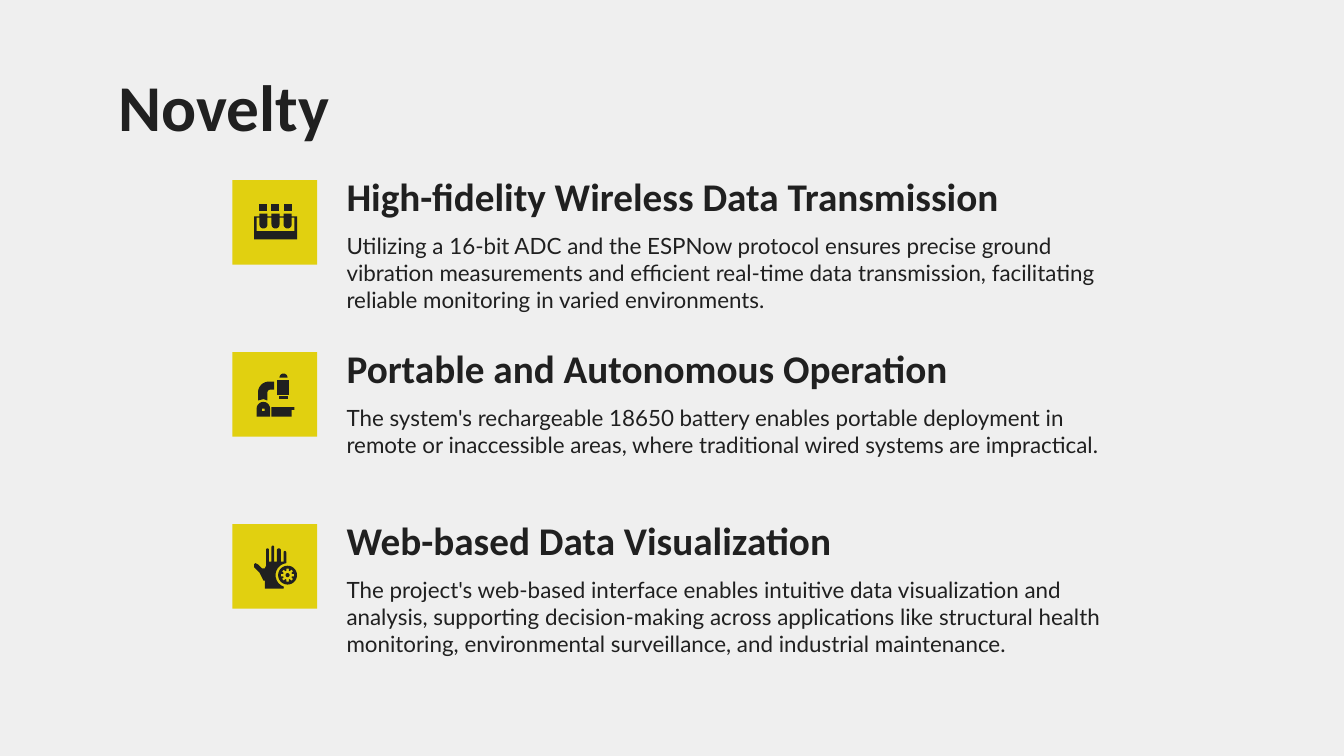
from math import cos, radians, sin

from pptx import Presentation
from pptx.dml.color import RGBColor
from pptx.enum.shapes import MSO_SHAPE
from pptx.enum.text import MSO_ANCHOR, MSO_AUTO_SIZE, PP_ALIGN
from pptx.util import Emu, Pt

PX = 9144
INK = RGBColor(0x20, 0x20, 0x20)
YELLOW = RGBColor(0xE1, 0xD0, 0x10)
PAPER = RGBColor(0xEF, 0xEF, 0xEF)
RECT = MSO_SHAPE.RECTANGLE
TOP, BOTTOM = MSO_ANCHOR.TOP, MSO_ANCHOR.BOTTOM
NO_FIT = MSO_AUTO_SIZE.NONE
LEFT = PP_ALIGN.LEFT

TITLE = {"name": "Calibri", "size": Pt(35), "bold": True}
HEADING = {"name": "Calibri", "size": Pt(21), "bold": True}
BODY = {"name": "Lato", "size": Pt(12), "bold": False}


def px(n):
    """Turn px into EMU."""
    return Emu(round(n * PX))


def write(sp, text, fmt, anchor, inset_top=10):
    """Fill a text shape with one left-aligned, formatted paragraph."""
    tf = sp.text_frame
    frame = {"word_wrap": True, "auto_size": NO_FIT, "vertical_anchor": anchor,
             "margin_left": px(10), "margin_right": px(10),
             "margin_top": px(inset_top), "margin_bottom": px(10)}
    for key, value in frame.items():
        setattr(tf, key, value)
    p = tf.paragraphs[0]
    p.alignment = LEFT
    r = p.add_run()
    r.text = text
    for key, value in fmt.items():
        setattr(r.font, key, value)
    r.font.color.rgb = INK


def paint(sp, color):
    """Give a shape a flat fill with no line or shadow."""
    sp.shadow.inherit = False
    sp.fill.solid()
    sp.fill.fore_color.rgb = color
    sp.line.fill.background()


def arc(cx, cy, r, start, end, steps=10):
    """List points along an arc, in degrees clockwise from the right."""
    angles = [radians(start + (end - start) * i / steps) for i in range(steps + 1)]
    return [(cx + r * cos(a), cy + r * sin(a)) for a in angles]


def box(x, y, w, h):
    """List the corners of a rectangle."""
    return [(x, y), (x + w, y), (x + w, y + h), (x, y + h)]


def test_tubes():
    """Outline a rack of three tubes with caps."""
    tubes = (20, 29, 38)
    rim, hole = [(16, 27)], [(18, 38), (18, 28)]
    for x in tubes:
        rim += [(x, 27), (x, 25), (x + 6, 25), (x + 6, 27)]
        hole += [(x, 28), *arc(x + 3, 33, 3, 180, 0), (x + 6, 28)]
    rim += [(48, 27), (48, 44), (16, 44)]
    hole += [(46, 28), (46, 38)]
    return [[rim, hole]] + [[box(x, 18, 6, 5)] for x in tubes]


def microscope():
    """Outline a microscope."""
    foot = [*arc(23, 42, 5, 0, -180), (18, 48), (28, 48)]
    arm = [(26, 36), *arc(28, 30, 2, 180, 270), (31, 28), (31, 22),
           *arc(27, 30, 8, -90, -180), (19, 36), (23, 35)]
    stage = [(29, 41), (29, 48), (44, 48), (44, 43), (46, 43), (46, 41)]
    return [[foot, box(22, 42, 2, 2)], [box(33, 21, 9, 11)], [arm],
            [box(35, 33, 6, 2)], [stage], [arc(38, 19, 3, 180, 360)]]


def hand_and_gear():
    """Outline a raised hand with a gear badge."""
    hand = arc(41, 38, 9, 108, 264)
    for left, right, tip in ((38, 40, 20), (33, 36, 18), (29, 31, 16), (25, 27, 18)):
        r = (right - left) / 2
        hand += [(right, 28), *arc(left + r, tip + r, r, 0, -180), (left, 28)]
    hand += [(25, 31), (24, 33), (22, 33), (19, 30), (17, 29), (16, 30),
             (16, 32), (20, 36), (21, 38), (23, 42), (24, 42), (24, 48), (38, 48)]
    gear = []
    for a in range(0, 360, 45):
        gear += arc(41, 38, 3.4, a - 22, a - 16, 1)
        gear += arc(41, 38, 5, a - 11, a + 11, 1)
        gear += arc(41, 38, 3.4, a + 16, a + 22, 1)
    return [[hand], [arc(41, 38, 7, 0, 360, 40), gear],
            [arc(41, 38, 1.5, 0, 360, 16)]]


def add_icon(slide, x, y, size, pieces):
    """Place a square tile with an icon drawn on it."""
    tile = slide.shapes.add_shape(RECT, px(x), px(y), px(size), px(size))
    paint(tile, YELLOW)
    group = slide.shapes.add_group_shape()
    for contours in pieces:
        builder = None
        for contour in contours:
            start, *rest = [(px(u), px(v)) for u, v in contour]
            if builder is None:
                builder = group.shapes.build_freeform(*start, scale=1.0)
            else:
                builder.move_to(*start)
            builder.add_line_segments(rest, close=True)
        paint(builder.convert_to_shape(px(x), px(y)), INK)


def add_feature(slide, x, y, w, heading, body, pieces):
    """Place an icon, a heading and its description."""
    add_icon(slide, x, y + 8, 63, pieces)
    for dy, h, text, fmt, anchor in ((0, 47, heading, HEADING, BOTTOM),
                                     (37, 80, body, BODY, TOP)):
        sp = slide.shapes.add_textbox(px(x + 75), px(y + dy), px(w - 75), px(h))
        write(sp, text, fmt, anchor)


def add_title(slide, x, y, w, h, text):
    """Place the slide title."""
    sp = slide.shapes.title
    sp.left, sp.top, sp.width, sp.height = px(x), px(y), px(w), px(h)
    write(sp, text, TITLE, TOP, inset_top=0)


def main():
    """Build and save the slide."""
    features = (
        ("High-fidelity Wireless Data Transmission",
         "Utilizing a 16-bit ADC and the ESPNow protocol ensures precise ground "
         "vibration measurements and efficient real-time data transmission, "
         "facilitating reliable monitoring in varied environments.", test_tubes()),
        ("Portable and Autonomous Operation",
         "The system's rechargeable 18650 battery enables portable deployment in "
         "remote or inaccessible areas, where traditional wired systems are "
         "impractical.", microscope()),
        ("Web-based Data Visualization",
         "The project's web-based interface enables intuitive data visualization "
         "and analysis, supporting decision-making across applications like "
         "structural health monitoring, environmental surveillance, and "
         "industrial maintenance.", hand_and_gear()),
    )
    prs = Presentation()
    prs.slide_width = px(1000)
    prs.slide_height = prs.slide_width * 9 // 16
    slide = prs.slides.add_slide(prs.slide_layouts[5])
    slide.background.fill.solid()
    slide.background.fill.fore_color.rgb = PAPER
    add_title(slide, 78, 49, 844, 63, "Novelty")
    for i, feature in enumerate(features):
        add_feature(slide, 173, 126 + 128 * i, 657, *feature)
    prs.save("out.pptx")


if __name__ == "__main__":
    main()
